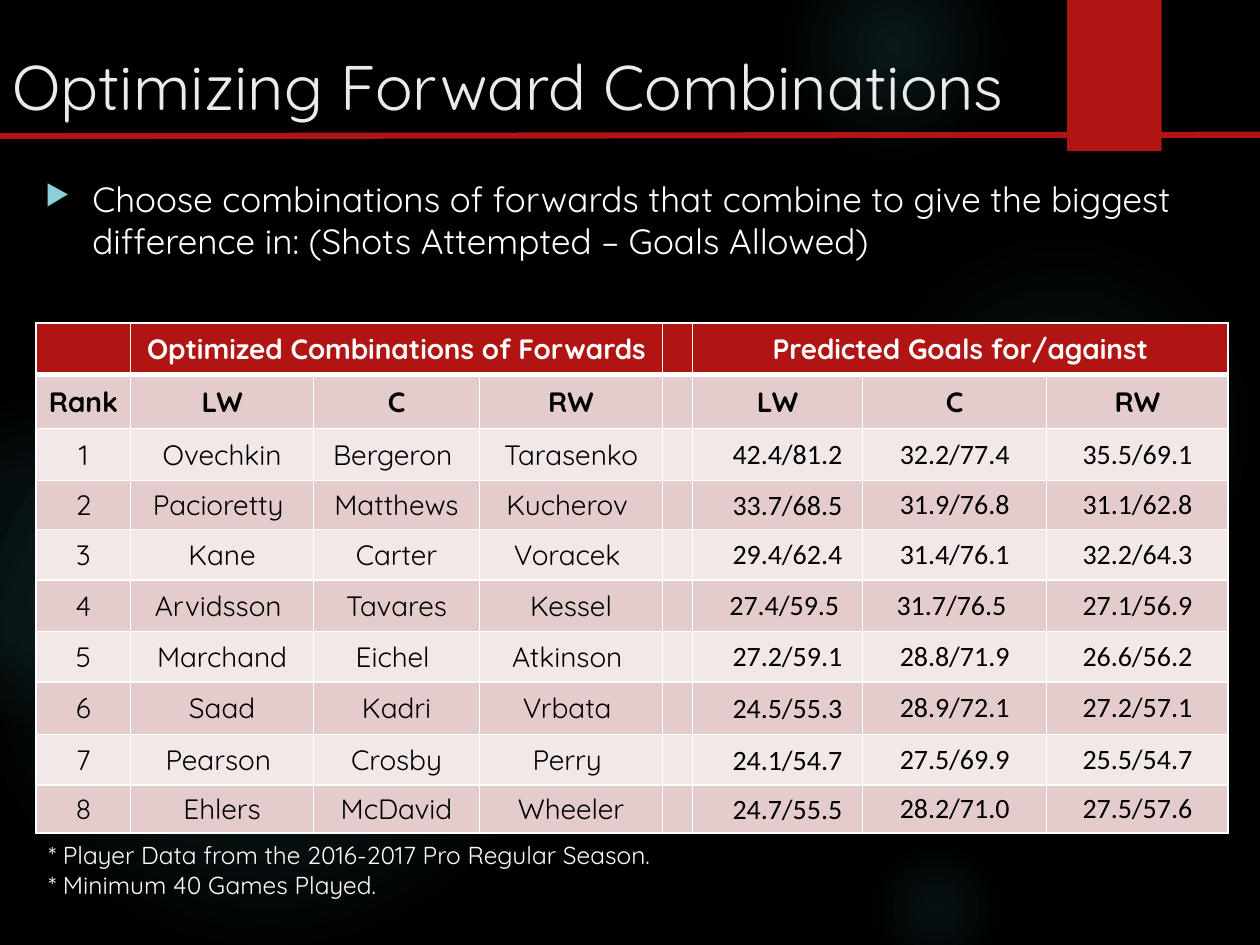
from typing import NamedTuple

from lxml import etree
from pptx import Presentation
from pptx.dml.color import RGBColor
from pptx.enum.shapes import MSO_CONNECTOR as Connector, MSO_SHAPE as Shape
from pptx.enum.text import MSO_ANCHOR as Anchor, PP_ALIGN as Align
from pptx.oxml import parse_xml
from pptx.oxml.ns import nsdecls, qn
from pptx.util import Pt

RED, WHITE, BLACK = "B01513", "FFFFFF", "000000"
DARK_BAND, LIGHT_BAND = "E4CCCC", "F2E8E7"
GLOW, BULLET = "50B9C1", "8AD0D6"


class Glow(NamedTuple):
    left: float
    top: float
    size: float
    inner: int   # opacity in percent at the centre
    middle: int  # opacity in percent at 36 % of the radius
    fade: int    # where it becomes clear, in percent


class Trio(NamedTuple):
    """One ranked forward line: left wing, centre, right wing."""
    names: tuple[str, str, str]
    goals: tuple[str, str, str]


class Style(NamedTuple):
    size: float
    color: str
    bold: bool = False
    font: str = "Quicksand"


GLOWS = [
    Glow(496, 132, 222, 7, 6, 69),
    Glow(448, -36, 126, 14, 7, 73),
    Glow(496, 480, 78, 9, 5, 66),
    Glow(-12, 210, 330, 11, 10, 75),
    Glow(-66, 228, 186, 8, 8, 72),
]
TRIOS = [
    Trio(("Ovechkin", "Bergeron ", "Tarasenko"), ("42.4/81.2", "32.2/77.4", "35.5/69.1")),
    Trio(("Pacioretty ", "Matthews", "Kucherov "), ("33.7/68.5", "31.9/76.8", "31.1/62.8")),
    Trio(("Kane", "Carter", "Voracek "), ("29.4/62.4", "31.4/76.1", "32.2/64.3")),
    Trio(("Arvidsson ", "Tavares", "Kessel"), ("27.4/59.5 ", "31.7/76.5 ", "27.1/56.9")),
    Trio(("Marchand", "Eichel ", "Atkinson "), ("27.2/59.1", "28.8/71.9", "26.6/56.2")),
    Trio(("Saad", "Kadri", "Vrbata "), ("24.5/55.3", "28.9/72.1", "27.2/57.1")),
    Trio(("Pearson ", "Crosby", "Perry "), ("24.1/54.7", "27.5/69.9", "25.5/54.7")),
    Trio(("Ehlers", "McDavid", "Wheeler"), ("24.7/55.5", "28.2/71.0", "27.5/57.6")),
]
POSITIONS = ("LW", "C", "RW")
COLUMN_WIDTHS = (54, 104.4, 95, 104.4, 16.6, 97.2, 105.2, 103.7)
ROW_HEIGHTS = (29.5, 31, 29.5, 28.1, 28.8, 29.5, 28.8, 30.2, 28.8, 27.4)
FIRST_GOALS = 5


def color(value: str) -> RGBColor:
    return RGBColor.from_string(value)


def assign(target, values: dict) -> None:
    for name, value in values.items():
        setattr(target, name, value)


def write(para, text: str, style: Style) -> None:
    span = para.add_run()
    span.text = text
    assign(span.font, {"size": Pt(style.size), "bold": style.bold, "name": style.font})
    span.font.color.rgb = color(style.color)


def add_text(page, frame: tuple, lines: list[str], style: Style, anchor=Anchor.TOP):
    box = page.shapes.add_textbox(*map(Pt, frame))
    assign(box.text_frame, {"word_wrap": True, "vertical_anchor": anchor})
    for index, line in enumerate(lines):
        para = box.text_frame.add_paragraph() if index else box.text_frame.paragraphs[0]
        write(para, line, style)
    return box


def add_shape(page, kind, frame: tuple):
    shape = page.shapes.add_shape(kind, *map(Pt, frame))
    shape.shadow.inherit = False
    shape.line.fill.background()
    return shape


def add_glow(page, glow: Glow) -> None:
    shape = add_shape(page, Shape.OVAL, (glow.left, glow.top, glow.size, glow.size))
    shape.fill.background()
    stops = "".join(
        f'<a:gs pos="{place * 1000}"><a:srgbClr val="{GLOW}">'
        f'<a:alpha val="{opacity * 1000}"/></a:srgbClr></a:gs>'
        for place, opacity in ((0, glow.inner), (36, glow.middle), (glow.fade, 0)))
    gradient = parse_xml(
        f'<a:gradFill {nsdecls("a")} rotWithShape="1"><a:gsLst>{stops}</a:gsLst>'
        '<a:path path="circle"><a:fillToRect l="50000" t="50000" r="50000" b="50000"/>'
        '</a:path></a:gradFill>')
    properties = shape._element.spPr
    properties.replace(properties.find(qn("a:noFill")), gradient)


def add_bullet(para) -> None:
    properties = para._p.get_or_add_pPr()
    properties.set("marL", str(Pt(27)))
    properties.set("indent", str(-Pt(27)))
    tint = etree.SubElement(properties, qn("a:buClr"))
    etree.SubElement(tint, qn("a:srgbClr"), val=BULLET)
    etree.SubElement(properties, qn("a:buSzPct"), val="80000")
    etree.SubElement(properties, qn("a:buChar"), char="▶")


def set_borders(cell, bottom: float) -> None:
    properties = cell._tc.get_or_add_tcPr()
    for index, (side, width) in enumerate(zip("LRTB", (1, 1, 1, bottom))):
        properties.insert(index, parse_xml(
            f'<a:ln{side} {nsdecls("a")} w="{Pt(width)}"><a:solidFill>'
            f'<a:srgbClr val="{WHITE}"/></a:solidFill></a:ln{side}>'))


def fill_cell(cell, text: str, fill: str, style: Style, bottom: float) -> None:
    cell.fill.solid()
    cell.fill.fore_color.rgb = color(fill)
    set_borders(cell, bottom)
    cell.vertical_anchor = Anchor.MIDDLE
    if text:
        para = cell.text_frame.paragraphs[0]
        para.alignment = Align.CENTER
        write(para, text, style)
    else:
        assign(cell, {"margin_top": 0, "margin_bottom": 0})


def add_rankings(page) -> None:
    rows = [["", "Optimized Combinations of Forwards", "", "", "",
             "Predicted Goals for/against", "", ""],
            ["Rank", *POSITIONS, "", *POSITIONS]]
    rows += [[str(rank), *trio.names, "", *trio.goals]
             for rank, trio in enumerate(TRIOS, 1)]
    frame = page.shapes.add_table(
        len(rows), len(COLUMN_WIDTHS), Pt(20.7), Pt(184.5),
        Pt(sum(COLUMN_WIDTHS)), Pt(sum(ROW_HEIGHTS)))
    table = frame.table
    assign(table, {"first_row": False, "horz_banding": False})
    for column, width in zip(table.columns, COLUMN_WIDTHS):
        column.width = Pt(width)
    for row, height in zip(table.rows, ROW_HEIGHTS):
        row.height = Pt(height)

    for r, texts in enumerate(rows):
        header = r == 0
        fill = RED if header else DARK_BAND if r % 2 else LIGHT_BAND
        for c, text in enumerate(texts):
            goals = r > 1 and c >= FIRST_GOALS
            style = Style(16, WHITE if header else BLACK, r < 2,
                          "Calibri" if goals else "Quicksand")
            cell = table.cell(r, c)
            fill_cell(cell, text, fill, style, 3 if header else 1)
            if goals and c == FIRST_GOALS:
                assign(cell, {"margin_left": Pt(12), "margin_right": Pt(0.7),
                              "margin_top": Pt(0.7), "margin_bottom": 0})
    for first in (1, FIRST_GOALS):
        table.cell(0, first).merge(table.cell(0, first + 2))


def main() -> None:
    deck = Presentation()
    assign(deck, {"slide_width": Pt(720), "slide_height": Pt(540)})
    page = deck.slides.add_slide(deck.slide_layouts[6])
    page.background.fill.solid()
    page.background.fill.fore_color.rgb = color(BLACK)

    # Backdrop: soft glows and the red tab
    for glow in GLOWS:
        add_glow(page, glow)
    tab = add_shape(page, Shape.RECTANGLE, (609.8, 0, 54, 86.4))
    tab.fill.solid()
    tab.fill.fore_color.rgb = color(RED)

    # Title and rule
    add_text(page, (0, 19.4, 608.4, 58.3), ["Optimizing Forward Combinations"],
             Style(36, "EBEBEB"), Anchor.MIDDLE)
    rule = page.shapes.add_connector(Connector.STRAIGHT, 0, Pt(77.8), Pt(720), Pt(77))
    rule.line.width = Pt(3.5)
    rule.line.color.rgb = color(RED)
    etree.SubElement(rule._element.spPr, qn("a:effectLst"))

    # Table, statement and footnotes
    add_rankings(page)
    statement = add_text(
        page, (18.7, 97.9, 682.6, 74.9),
        ["Choose combinations of forwards that combine to give the biggest "
         "difference in: (Shots Attempted – Goals Allowed)"], Style(20, WHITE))
    add_bullet(statement.text_frame.paragraphs[0])
    add_text(page, (20.7, 476.6, 681, 41),
             ["* Player Data from the 2016-2017 Pro Regular Season.",
              "* Minimum 40 Games Played."], Style(14, WHITE))

    deck.save("out.pptx")


if __name__ == "__main__":
    main()
